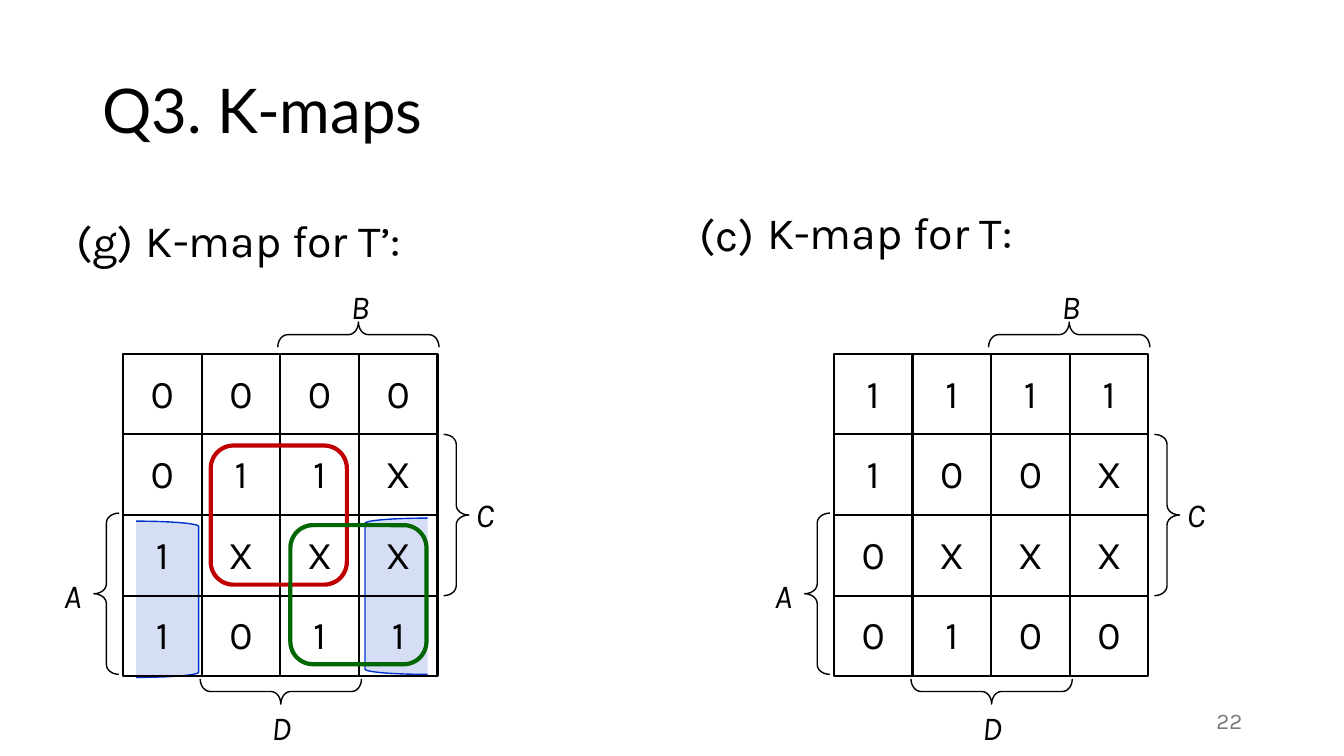
"""Build a slide with two Karnaugh maps, for T' and T."""
from dataclasses import dataclass

from lxml import etree
from pptx import Presentation
from pptx import util as u
from pptx.dml import color
from pptx.enum import shapes, text
from pptx.oxml import ns

COLORS = {
    "ink": "000000",
    "page": "797979",
    "blue": "0033CC",
    "red": "C00000",
    "green": "006600",
}
CELL_W, CELL_H = 0.78, 0.8
GRID_TOP = 3.51
MSO = shapes.MSO_SHAPE
ALIGN = text.PP_ALIGN
ANCHOR = text.MSO_ANCHOR


@dataclass(frozen=True)
class Label:
    text: str
    x: float
    y: float
    w: float
    h: float
    size: float
    font: str = "Karla"
    color: str = "ink"
    align: ALIGN = ALIGN.LEFT
    anchor: ANCHOR = ANCHOR.TOP
    italic: bool = False
    spacing: float = 1.0


@dataclass(frozen=True)
class Outline:
    kind: MSO
    x: float
    y: float
    w: float
    h: float
    color: str
    weight: float
    rotation: float = 0
    adjust: tuple[float, ...] = ()
    opacity: int = 0


@dataclass(frozen=True)
class Variable:
    name: str
    x: float
    y: float
    brace_x: float
    brace_y: float
    rotation: float


@dataclass(frozen=True)
class KMap:
    left: float
    rows: tuple[str, ...]


VARIABLES = (
    Variable("A", -0.76, 5.65, -0.29, 5.09, 180),
    Variable("B", 2.09, 2.79, 2.21, 2.52, 270),
    Variable("C", 3.33, 4.85, 3.18, 4.31, 0),
    Variable("D", 1.31, 6.96, 1.44, 6.06, 90),
)
HEADINGS = (
    Label("Q3. K-maps", 0.92, 0.4, 11.5, 1.45, 44, "Lato",
          anchor=ANCHOR.MIDDLE, spacing=0.9),
    Label("(g)", 0.66, 2.13, 0.86, 0.72, 32, spacing=0.9),
    Label("K-map for T’:", 1.35, 2.12, 5.14, 0.72, 32, spacing=0.9),
    Label("(c)", 6.84, 2.06, 0.86, 0.72, 32, spacing=0.9),
    Label("K-map for T:", 7.51, 2.04, 5.14, 0.72, 32, spacing=0.9),
    Label("22", 9.42, 6.95, 3, 0.4, 16, color="page",
          align=ALIGN.RIGHT, anchor=ANCHOR.MIDDLE),
)
KMAPS = (
    KMap(8.27, ("1111", "100X", "0XXX", "0100")),
    KMap(1.22, ("0000", "011X", "1XXX", "1011")),
)
WRAPPED_GROUP = (
    Outline(MSO.LEFT_BRACKET, 3.62, 5.14, 0.62, 1.55, "blue", 1, opacity=16),
    Outline(MSO.LEFT_BRACKET, 1.35, 5.17, 0.62, 1.55, "blue", 1, 180, opacity=16),
)
LOOPS = (
    Outline(MSO.ROUNDED_RECTANGLE, 2.09, 4.42, 1.35, 1.38, "red", 3),
    Outline(MSO.ROUNDED_RECTANGLE, 2.88, 5.21, 1.35, 1.38, "green", 3),
)


def rgb(name: str) -> color.RGBColor:
    return color.RGBColor.from_string(COLORS[name])


def add_label(s, label: Label) -> None:
    sp = s.shapes.add_textbox(*map(u.Inches, (label.x, label.y, label.w, label.h)))
    tf = sp.text_frame
    tf.word_wrap = True
    tf.vertical_anchor = label.anchor
    p = tf.paragraphs[0]
    p.alignment = label.align
    p.line_spacing = label.spacing
    r = p.add_run()
    r.text = label.text
    r.font.name = label.font
    r.font.size = u.Pt(label.size)
    r.font.italic = label.italic
    r.font.color.rgb = rgb(label.color)


def add_outline(s, outline: Outline) -> None:
    box = (outline.x, outline.y, outline.w, outline.h)
    sp = s.shapes.add_shape(outline.kind, *map(u.Inches, box))
    sp.shadow.inherit = False
    sp.rotation = outline.rotation
    for i, value in enumerate(outline.adjust):
        sp.adjustments[i] = value
    sp.line.color.rgb = rgb(outline.color)
    sp.line.width = u.Pt(outline.weight)
    if outline.opacity:
        sp.fill.solid()
        sp.fill.fore_color.rgb = rgb(outline.color)
        clr = sp._element.spPr.find(ns.qn("a:solidFill"))[0]
        etree.SubElement(clr, ns.qn("a:alpha")).set("val", str(outline.opacity * 1000))
    else:
        sp.fill.background()


def add_kmap(s, kmap: KMap) -> None:
    for row, values in enumerate(kmap.rows):
        for col, value in enumerate(values):
            x, y = kmap.left + col * CELL_W, GRID_TOP + row * CELL_H
            add_outline(s, Outline(MSO.RECTANGLE, x, y, CELL_W, CELL_H, "ink", 1.5))
            add_label(s, Label(value, x, y + 0.1, CELL_W, 0.57, 28, align=ALIGN.CENTER))
    for v in VARIABLES:
        add_label(s, Label(v.name, kmap.left + v.x, v.y, 0.52, 0.5, 24,
                           align=ALIGN.CENTER, italic=True))
        add_outline(s, Outline(MSO.RIGHT_BRACE, kmap.left + v.brace_x, v.brace_y,
                               0.25, 1.6, "ink", 1, v.rotation, (0.39, 0.5)))


def main() -> None:
    prs = Presentation()
    prs.slide_width, prs.slide_height = u.Inches(13.33), u.Inches(7.5)
    s = prs.slides.add_slide(prs.slide_layouts[6])
    for label in HEADINGS:
        add_label(s, label)
    for bracket in WRAPPED_GROUP:
        add_outline(s, bracket)
    for kmap in KMAPS:
        add_kmap(s, kmap)
    for loop in LOOPS:
        add_outline(s, loop)
    prs.save("out.pptx")


if __name__ == "__main__":
    main()
